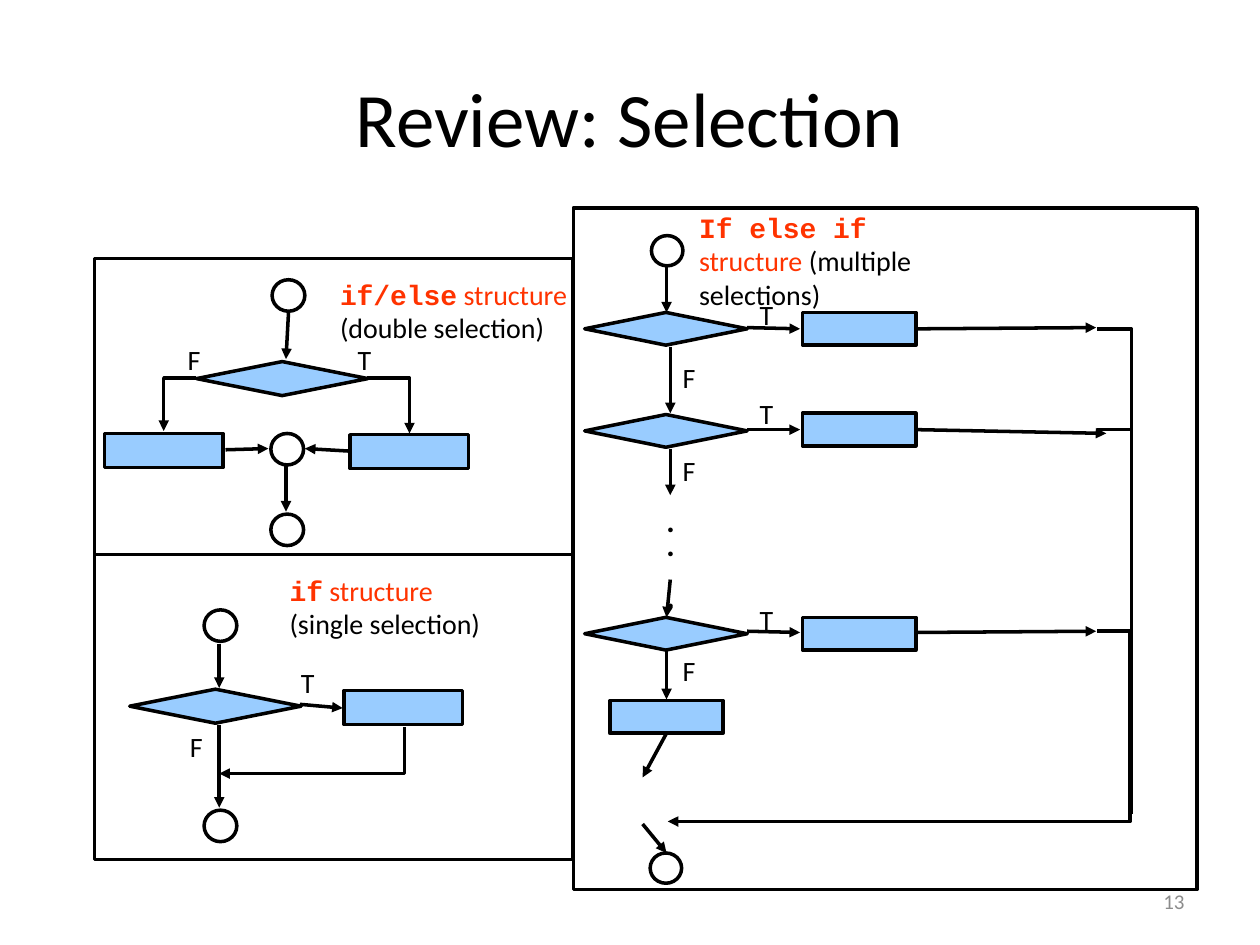
from lxml import etree
from pptx import Presentation
from pptx import util as u
from pptx.dml.color import RGBColor
from pptx.enum import shapes, text
from pptx.oxml.ns import qn

COLORS = {"black": "000000", "blue": "99CCFF", "red": "FF3300", "gray": "8C8C8C"}
INCH = 2.54  # positions below are in inches, placed in centimetres

prs = Presentation()
prs.slide_width, prs.slide_height = u.Cm(25.4), u.Cm(19.05)
s = prs.slides.add_slide(prs.slide_layouts[5])


def link(x1, y1, x2, y2, arrow="tailEnd", geometry="line", adjust=None):
    """Draw a connector; arrow is the end with the triangle, or None."""
    ends = [u.Cm(v * INCH) for v in (x1, y1, x2, y2)]
    c = s.shapes.add_connector(shapes.MSO_CONNECTOR.STRAIGHT, *ends)
    c.line.width = u.Pt(2)
    c.line.color.rgb = RGBColor.from_string(COLORS["black"])
    pr = c.element.spPr
    geom = pr.find(qn("a:prstGeom"))
    geom.set("prst", geometry)
    if adjust is not None:
        guides = geom.find(qn("a:avLst"))
        if guides is None:
            guides = etree.SubElement(geom, qn("a:avLst"))
        etree.SubElement(guides, qn("a:gd"), name="adj1", fmla=f"val {adjust}")
    if arrow:
        etree.SubElement(pr.find(qn("a:ln")), qn(f"a:{arrow}"), type="triangle")
    etree.SubElement(pr, qn("a:effectLst"))


def write(x, y, w, h, runs, size=16, wrap=False):
    """Add a text box; runs are (text, font, colour, bold)."""
    box = [u.Cm(v * INCH) for v in (x, y, w, h)]
    tf = s.shapes.add_textbox(*box).text_frame
    tf.word_wrap = wrap
    p = tf.paragraphs[0]
    for words, font, color, bold in runs:
        r = p.add_run()
        r.text = words
        r.font.name, r.font.size, r.font.bold = font, u.Pt(size), bold
        r.font.color.rgb = RGBColor.from_string(COLORS[color])
    return tf


# Title
title = s.shapes.title
title.left, title.top, title.width, title.height = (
    u.Cm(v * INCH) for v in (0.5, 0.3, 9, 1.25))
title.text_frame.vertical_anchor = text.MSO_ANCHOR.MIDDLE
p = title.text_frame.paragraphs[0]
p.alignment = text.PP_ALIGN.CENTER
r = p.add_run()
r.text = "Review: Selection"
r.font.name, r.font.size = "Calibri", u.Pt(44)
r.font.color.rgb = RGBColor.from_string(COLORS["black"])

# Panels, decisions, actions and junctions
RECT, DIAMOND, OVAL = (shapes.MSO_SHAPE.RECTANGLE, shapes.MSO_SHAPE.DIAMOND,
                       shapes.MSO_SHAPE.OVAL)
panels = [(0.75, 2.05, 3.8, 2.35), (0.75, 4.4, 3.8, 2.42), (4.55, 1.65, 4.95, 5.41)]
decisions = [(1.56, 2.87, 1.36, 0.27), (1.03, 5.47, 1.36, 0.27)]
decisions += [(4.64, y, 1.29, 0.26) for y in (2.48, 3.29, 4.9)]
actions = [(x, y, 0.94, 0.27) for x, y in ((0.83, 3.44), (2.78, 3.45), (2.73, 5.48))]
actions += [(x, y, 0.9, 0.26)
            for x, y in ((6.37, 2.48), (6.37, 3.28), (6.37, 4.9), (4.84, 5.56))]
junctions = [(x, y, 0.26, 0.25) for x, y in
             ((2.16, 2.22), (2.15, 3.44), (2.15, 4.08), (1.62, 4.84), (1.62, 6.43))]
junctions += [(x, y, 0.25, 0.24) for x, y in ((5.17, 1.87), (5.16, 6.77))]

for kind, fill, boxes in ((RECT, None, panels), (DIAMOND, "blue", decisions),
                          (RECT, "blue", actions), (OVAL, None, junctions)):
    for box in boxes:
        sp = s.shapes.add_shape(kind, *[u.Cm(v * INCH) for v in box])
        sp.shadow.inherit = False
        sp.line.width = u.Pt(2)
        sp.line.color.rgb = RGBColor.from_string(COLORS["black"])
        if fill:
            sp.fill.solid()
            sp.fill.fore_color.rgb = RGBColor.from_string(COLORS[fill])
        else:
            sp.fill.background()

# Straight arrows
for ends in (
    # if/else
    (2.29, 2.48, 2.27, 2.85), (1.79, 3.57, 2.13, 3.56),
    (2.77, 3.58, 2.42, 3.56), (2.27, 3.7, 2.27, 4.06),
    # if
    (1.74, 5.11, 1.74, 5.46), (1.74, 5.75, 1.74, 6.41), (2.38, 5.59, 2.72, 5.62),
    # else-if chain
    (5.29, 2.12, 5.29, 2.48), (5.32, 2.75, 5.32, 3.28), (5.32, 3.56, 5.32, 3.93),
    (5.32, 4.6, 5.29, 4.9), (5.29, 5.15, 5.29, 5.55), (5.29, 5.82, 5.1, 6.17),
    (5.1, 6.54, 5.29, 6.77),
    (5.93, 2.6, 6.35, 2.61), (5.93, 3.41, 6.35, 3.41), (5.93, 5.01, 6.35, 5.02),
    (7.27, 2.61, 8.7, 2.6), (7.27, 3.41, 8.78, 3.44), (7.27, 5.02, 8.7, 5.01),
):
    link(*ends)

# Bent connectors
for x1, y1, x2, y2, arrow in (
    (2.91, 3, 3.25, 3.44, "tailEnd"), (1.56, 3, 1.3, 3.42, "tailEnd"),
    (1.74, 6.14, 3.21, 5.77, "headEnd"),
    (8.71, 2.61, 8.98, 4.6, None), (8.71, 3.41, 8.98, 6.46, None),
):
    link(x1, y1, x2, y2, arrow, "bentConnector2")
link(8.71, 5.01, 5.3, 6.52, "tailEnd", "bentConnector3", -7600)

# Structure names
for box, code, name, note in (
    ((2.6, 2.15, 2.08, 0.64), "if/else", " structure", " (double selection)"),
    ((2.2, 4.5, 1.83, 0.64), "if", " structure", " (single selection)"),
    ((5.45, 1.62, 2.14, 0.91), "If else if ", "structure", " (multiple selections)"),
):
    write(*box, [(code, "Courier New", "red", True), (name, "Calibri", "red", False),
                 (note, "Calibri", "black", False)], wrap=True)

# Branch labels
for label, spots in (
    ("T", ((2.74, 2.67), (2.29, 5.23), (5.93, 2.31), (5.93, 3.1), (5.93, 4.73))),
    ("F", ((1.39, 2.67), (1.41, 5.74), (5.32, 2.81), (5.32, 3.55), (5.32, 5.14))),
):
    for x, y in spots:
        write(x, y, 0.33, 0.37, [(label, "Calibri", "black", False)])

# Dots between the repeated decisions
dot = (".", "Calibri", "black", True)
for y, h in ((3.93, 0.4), (4.12, 0.4), (4.53, 0.4)):
    write(5.19, y, 0.26, h, [dot], size=18)

# Slide number
tf = write(7.17, 6.95, 2.33, 0.4, [("13", "Calibri", "gray", False)], 12, True)
tf.vertical_anchor = text.MSO_ANCHOR.MIDDLE
tf.paragraphs[0].alignment = text.PP_ALIGN.RIGHT

prs.save("out.pptx")
